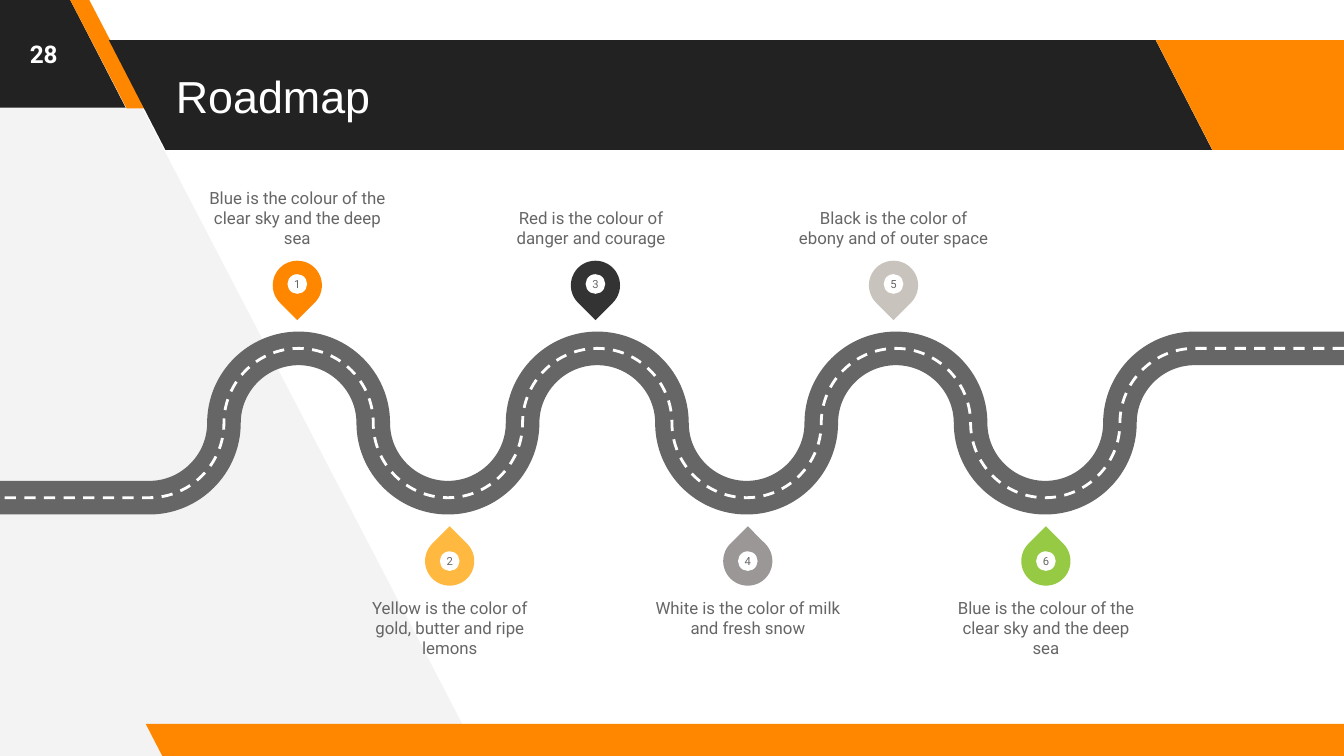
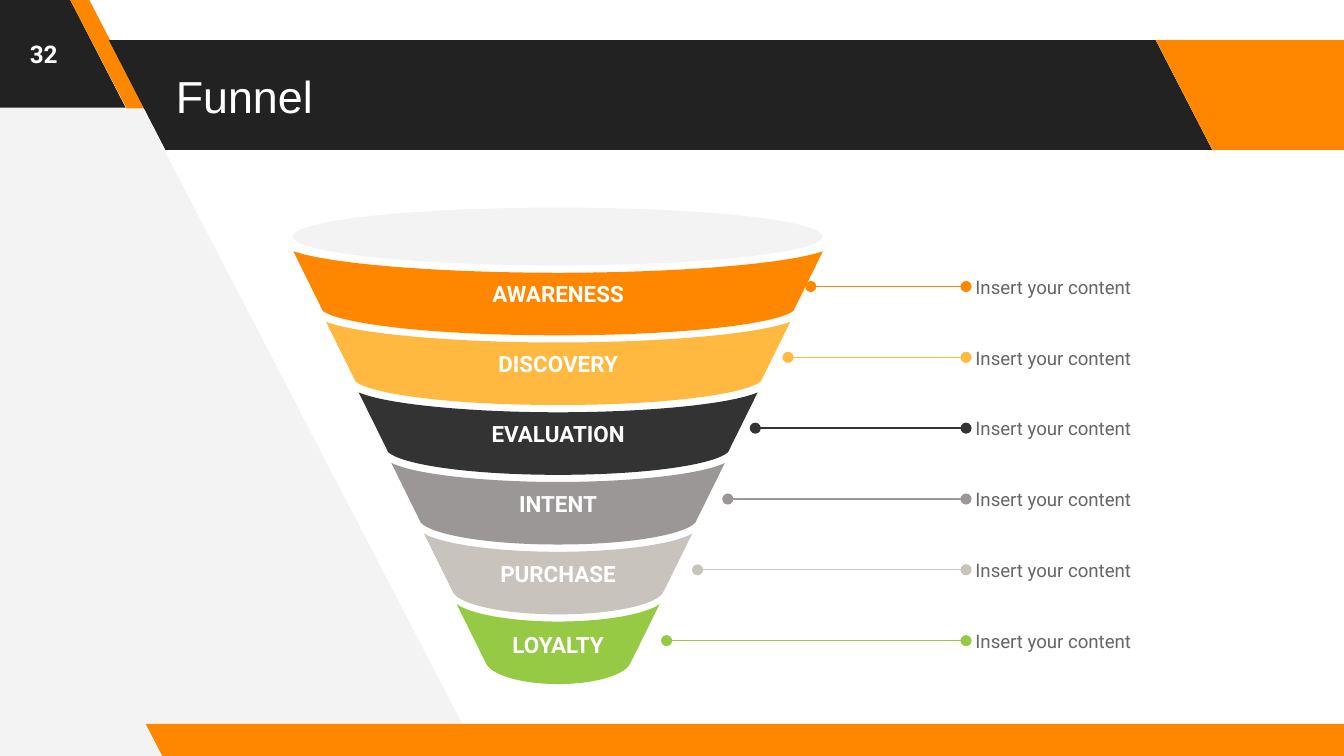
from lxml.etree import SubElement
from pptx import Presentation
from pptx.dml.color import RGBColor
from pptx.enum.dml import MSO_LINE
from pptx.enum.shapes import MSO_CONNECTOR, MSO_SHAPE
from pptx.enum.text import MSO_ANCHOR, PP_ALIGN
from pptx.oxml.ns import qn
from pptx.util import Inches, Pt

# Lengths are columns and rows of a square grid, 100 columns across the slide.
COLS, ROWS = 100, 56.25
ORANGE, BLACK, PALE, WHITE, GREY = "FF8700", "222222", "F3F3F3", "FFFFFF", "666666"
ACCENTS = [ORANGE, "FFB840", "333333", "9B9796", "C9C3BD", "96C944"]

TITLE = dict(size=24, name="Arial", color=WHITE)
NUMBER = dict(size=13, name="Roboto", color=WHITE, bold=True)
CAPTION = dict(size=9, name="Roboto", color=GREY)
PIN_NUMBER = dict(size=6, name="Roboto", color=GREY)
TIER = dict(size=12, name="Roboto", color=WHITE, bold=True)
NOTE = dict(size=10, name="Roboto", color=GREY)

# left, top, width, height, slant, colour
BANDS = [
    (-9.9, -0.2, 19.25, 8.2, 0.515, BLACK),
    (5.18, -0.1, 5.67, 8.17, 0.75, ORANGE),
    (8.1, 2.98, 82.1, 8.18, 0.515, BLACK),
    (86, 2.98, 19.2, 8.18, 0.515, ORANGE),
    (10.85, 53.87, 91.5, 2.5, 0.515, ORANGE),
]
# caption, sideways shift of the caption
MILESTONES = [
    ("Blue is the colour of the clear sky and the deep sea", 0),
    ("Yellow is the color of gold, butter and ripe lemons", 0),
    ("Red is the colour of danger and courage", -0.33),
    ("White is the color of milk and fresh snow", 0),
    ("Black is the color of ebony and of outer space", 0),
    ("Blue is the colour of the clear sky and the deep sea", 0),
]
# stage, start of its leader line
STAGES = [
    ("AWARENESS", 60.33),
    ("DISCOVERY", 58.63),
    ("EVALUATION", 56.2),
    ("INTENT", 54.15),
    ("PURCHASE", 51.9),
    ("LOYALTY", 49.6),
]


def grid(*values):
    return [Inches(v * 10 / COLS) for v in values]


def rgb(color):
    return RGBColor.from_string(color)


def paint(sp, fill=None, line=None, width=0):
    """Set fill and line; None means none."""
    sp.shadow.inherit = False
    if fill:
        sp.fill.solid()
        sp.fill.fore_color.rgb = rgb(fill)
    else:
        sp.fill.background()
    if line:
        sp.line.color.rgb = rgb(line)
        sp.line.width = Pt(width)
    else:
        sp.line.fill.background()


def write(sp, text, style, align=PP_ALIGN.CENTER, anchor=MSO_ANCHOR.MIDDLE, pad=(0, 0)):
    tf = sp.text_frame
    x, y = grid(*pad)
    frame = dict(word_wrap=True, vertical_anchor=anchor, margin_left=x,
                 margin_right=x, margin_top=y, margin_bottom=y)
    for key, value in frame.items():
        setattr(tf, key, value)
    p = tf.paragraphs[0]
    p.alignment = align
    r = p.add_run()
    r.text = text
    for key, value in style.items():
        if key == "color":
            r.font.color.rgb = rgb(value)
        else:
            setattr(r.font, key, Pt(value) if key == "size" else value)


def add_text(slide, box, text, style, **layout):
    write(slide.shapes.add_textbox(*grid(*box)), text, style, **layout)


def add_preset(slide, kind, box, fill):
    sp = slide.shapes.add_shape(kind, *grid(*box))
    paint(sp, fill)
    return sp


def add_outline(slide, start, segments, close=True, **look):
    """Each segment holds one point for a line or three for a Bezier curve."""
    builder = slide.shapes.build_freeform(*grid(*start))
    builder.add_line_segments([grid(*pt) for seg in segments for pt in seg], close=close)
    sp = builder.convert_to_shape()
    lines = iter(list(sp._element.iter(qn("a:lnTo"))))
    for segment in segments:
        first, *others = [next(lines) for _ in segment]
        if others:
            bend = first.makeelement(qn("a:cubicBezTo"))
            first.addprevious(bend)
            for line in (first, *others):
                bend.append(line[0])
                line.getparent().remove(line)
    paint(sp, **look)
    return sp


def add_leader(slide, x1, x2, y, color):
    """Draw a level line with a dot at each end."""
    cn = slide.shapes.add_connector(MSO_CONNECTOR.STRAIGHT, *grid(x1, y, x2, y))
    cn.line.color.rgb = rgb(color)
    cn.line.width = Pt(0.75)
    spPr = cn._element.spPr
    for end in ("a:headEnd", "a:tailEnd"):
        SubElement(spPr.find(qn("a:ln")), qn(end), type="oval")
    SubElement(spPr, qn("a:effectLst"))


def add_slide(prs, title, number):
    slide = prs.slides.add_slide(prs.slide_layouts[6])
    corners = [(6.2, -0.4), (-0.6, -0.4), (-0.2, 56.6)]
    add_outline(slide, (35.6, 56.2), [[corner] for corner in corners], fill=PALE)
    for *box, slant, color in BANDS:
        sp = add_preset(slide, MSO_SHAPE.PARALLELOGRAM, box, color)
        sp.adjustments[0] = slant
        sp._element.spPr.xfrm.set("flipH", "1")
    add_text(slide, (12.1, 3, 73.5, 8.2), title, TITLE, align=PP_ALIGN.LEFT, pad=(1, 1))
    add_text(slide, (0, 0, 6.5, 8), number, NUMBER, pad=(1, 1))
    return slide


def road_segments(bends=8, middle=31.48, bulge=0.55):
    """Quarter circles from right to left, with a level run at each end."""
    pitch = COLS / (bends + 1)
    radius = pitch / 2
    heights = [middle - radius, middle, middle + radius, middle]
    stops = [(bends * pitch - radius * i, heights[i % 4]) for i in range(2 * bends - 1)]
    segments = [[stops[0]]]
    for i, ((x0, y0), (x1, y1)) in enumerate(zip(stops, stops[1:])):
        dx, dy = bulge * (x1 - x0), bulge * (y1 - y0)
        if i % 2:
            handles = [(x0, y0 + dy), (x1 - dx, y1)]
        else:
            handles = [(x0 + dx, y0), (x1, y1 - dy)]
        segments.append(handles + [(x1, y1)])
    return (COLS, middle - radius), segments + [[(0, middle + radius)]]


def add_pin(slide, index, color, caption, shift):
    below = index % 2
    center = (33.46 if below else 22.12) + 22.18 * (index // 2)
    top = 39.92 if below else 19.4
    drop = add_preset(slide, MSO_SHAPE.TEAR, (center - 1.83, top, 3.66, 3.66), color)
    drop.rotation = 315 if below else 135
    dot_top = top + (1.1 if below else 1)
    dot = add_preset(slide, MSO_SHAPE.OVAL, (center - 0.73, dot_top, 1.46, 1.46), WHITE)
    write(dot, str(index + 1), PIN_NUMBER)
    add_text(slide, (center - 7.05 + shift, 44.45 if below else 12.65, 14.1, 5.8), caption,
             CAPTION, anchor=MSO_ANCHOR.TOP if below else MSO_ANCHOR.BOTTOM)


def tier_segments(index, center=41.53):
    """Funnel tier: sagging top edge, slanted sides, rounder bottom edge."""
    top, half = 18.7 + 5.25 * index, 19.7 - 2.43 * index
    low, low_half = top + 4.45, half - 2.2
    sag, low_sag = 1.6 - 0.06 * index, 1.8 - 0.06 * index

    def upper(x, y):
        return center + x * half, top + y * sag

    def lower(x, y):
        return center + x * low_half, low + y * low_sag

    return upper(-1, 0), [
        [lower(-1, 0)],
        [lower(-0.92, 0.54), lower(-0.53, 1), lower(0, 1)],
        [lower(0.53, 1), lower(0.92, 0.54), lower(1, 0)],
        [upper(1, 0)],
        [upper(0.85, 0.63), upper(0.42, 1), upper(0, 1)],
        [upper(-0.42, 1), upper(-0.85, 0.63), upper(-1, 0)],
    ]


def add_roadmap(prs):
    slide = add_slide(prs, "Roadmap", "28")
    road = road_segments()
    add_outline(slide, *road, close=False, line=GREY, width=18)
    marking = add_outline(slide, *road, close=False, line=WHITE, width=1.5)
    marking.line.dash_style = MSO_LINE.DASH
    for index, (color, (caption, shift)) in enumerate(zip(ACCENTS, MILESTONES)):
        add_pin(slide, index, color, caption, shift)


def add_funnel(prs):
    slide = add_slide(prs, "Funnel", "32")
    for index, (color, (stage, start)) in enumerate(zip(ACCENTS, STAGES)):
        tier = add_outline(slide, *tier_segments(index), fill=color)
        write(tier, stage, TIER, pad=(0.7, 0.4))
        y = 21.32 + 5.27 * index
        add_leader(slide, start, 71.88, y, color)
        add_text(slide, (72.58, y - 1.88, 20.8, 3.8), "Insert your content", NOTE,
                 align=PP_ALIGN.LEFT)
    add_preset(slide, MSO_SHAPE.OVAL, (21.8, 15.45, 39.4, 4.3), PALE)


def main():
    prs = Presentation()
    prs.slide_width, prs.slide_height = grid(COLS, ROWS)
    add_roadmap(prs)
    add_funnel(prs)
    prs.save("out.pptx")


if __name__ == "__main__":
    main()
